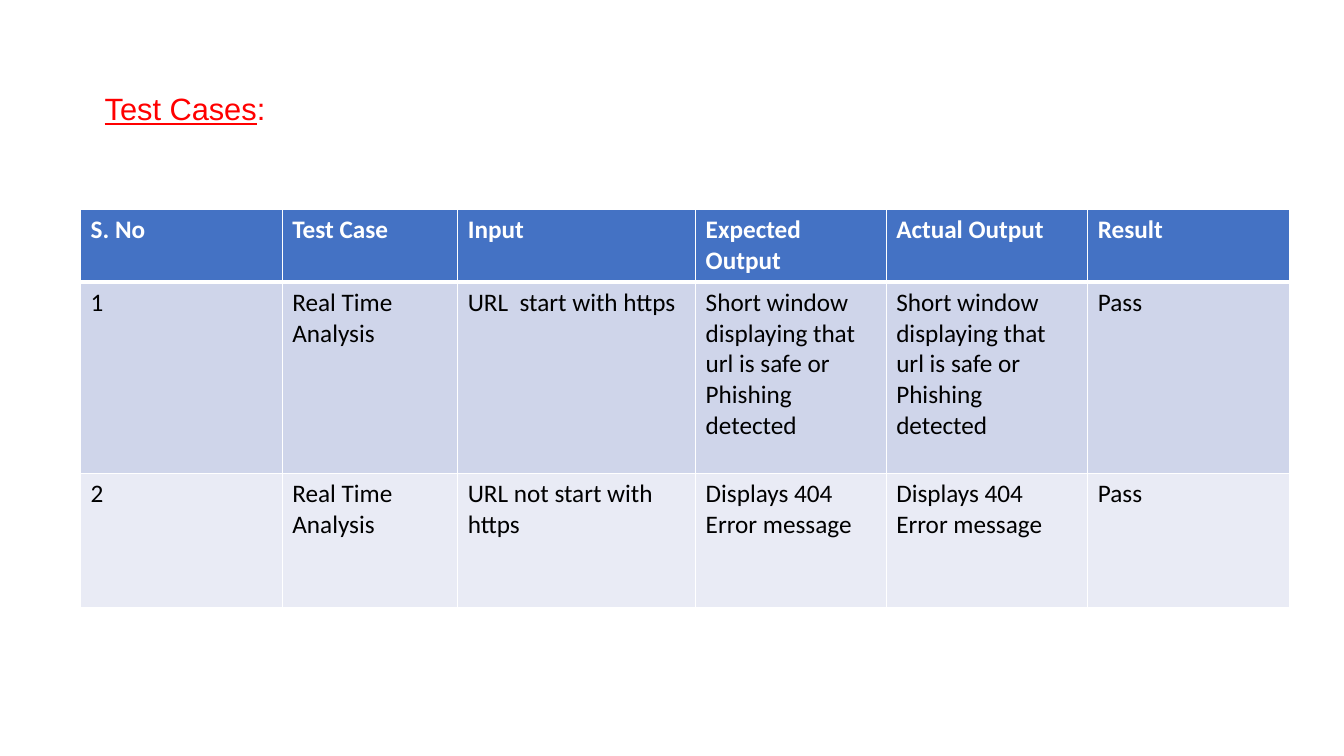
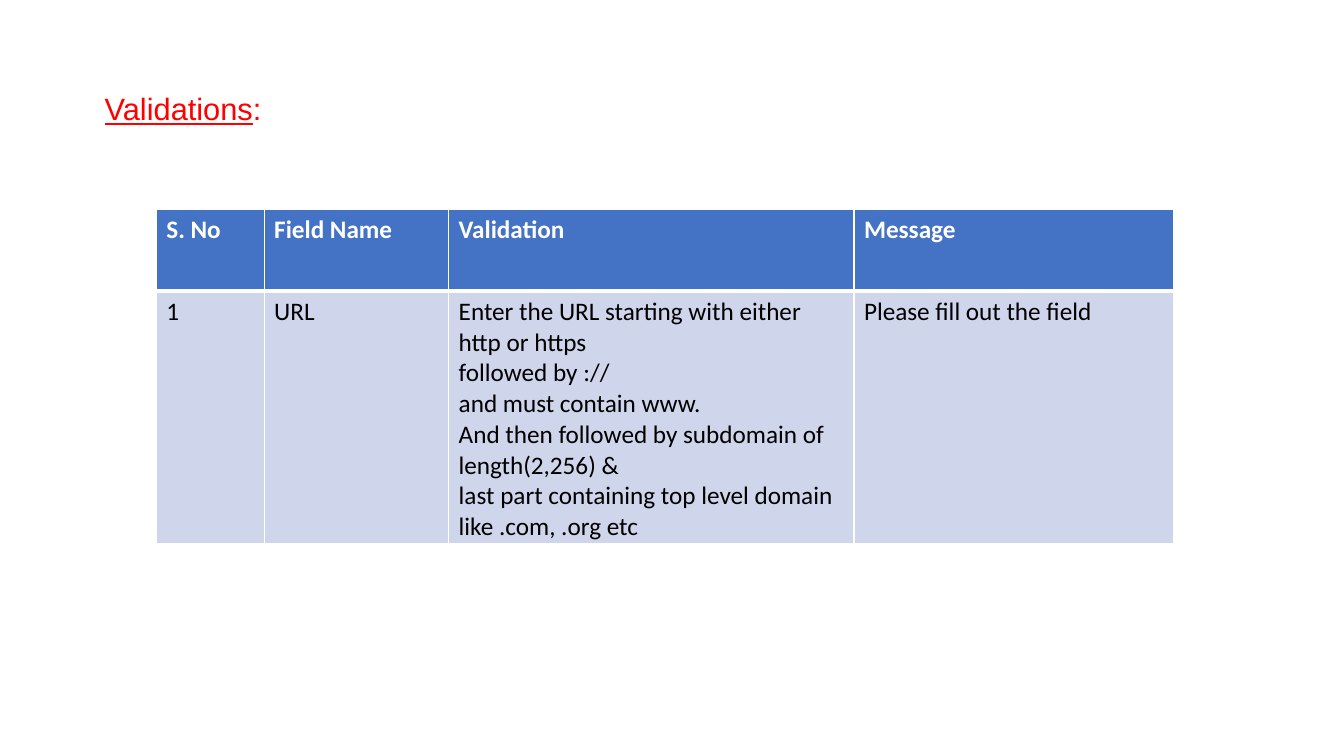
from dataclasses import dataclass

from lxml.etree import SubElement
from pptx import Presentation
from pptx.dml.color import RGBColor
from pptx.enum.text import MSO_AUTO_SIZE as AutoSize
from pptx.oxml.ns import qn
from pptx.slide import Slide
from pptx.table import _Cell as Cell
from pptx.text.text import Font
from pptx.util import Emu, Pt

EMU_PER_PX = 9144  # 100 px to the inch
SLIDE_SIZE = (1333, 750)
TITLE_BOX = (94, 84, 966, 47)
TABLE_TOP = 208

RED = "FF0000"
WHITE = "FFFFFF"
BLACK = "000000"
HEADER_FILL = "4472C4"
BAND_FILLS = ("CFD5EA", "E9EBF5")
THIN, THICK = 1, 3


@dataclass(frozen=True)
class TablePage:
    title: str
    left: int
    columns: tuple[int, ...]
    heights: tuple[int, ...]
    rows: tuple[tuple[str, ...], ...]


SAFE_OR_PHISHING = "Short window displaying that url is safe or Phishing detected"
NOT_FOUND = "Displays 404 Error message"

PAGES = (
    TablePage(
        title="Test Cases",
        left=80,
        columns=(200, 174, 236, 189, 200, 200),
        heights=(72, 190, 133),
        rows=(
            ("S. No", "Test Case", "Input", "Expected Output", "Actual Output", "Result"),
            ("1", "Real Time Analysis", "URL  start with https",
             SAFE_OR_PHISHING, SAFE_OR_PHISHING, "Pass"),
            ("2", "Real Time Analysis", "URL not start with https",
             NOT_FOUND, NOT_FOUND, "Pass"),
        ),
    ),
    TablePage(
        title="Validations",
        left=155,
        columns=(107, 183, 402, 317),
        heights=(81, 250),
        rows=(
            ("S. No", "Field Name", "Validation", "Message"),
            ("1", "URL",
             "Enter the URL starting with either http or https\n"
             "followed by ://\n"
             "and must contain www.\n"
             "And then followed by subdomain of length(2,256) &\n"
             "last part containing top level domain like .com, .org etc",
             "Please fill out the field"),
        ),
    ),
)


def px(length: int) -> Emu:
    return Emu(length * EMU_PER_PX)


def color(value: str) -> RGBColor:
    return RGBColor.from_string(value)


def set_font(font: Font, name: str, size: int, fill: str, bold: bool = False) -> None:
    font.name, font.size, font.bold = name, Pt(size), bold
    font.color.rgb = color(fill)


def add_title(page: Slide, title: str) -> None:
    """Write the title underlined, with a plain colon after it."""
    frame = page.shapes.add_textbox(*map(px, TITLE_BOX)).text_frame
    frame.word_wrap = True
    frame.auto_size = AutoSize.SHAPE_TO_FIT_TEXT
    para = frame.paragraphs[0]
    set_font(para.font, "Arial", 22, RED)
    for text, underlined in ((title, True), (":", False)):
        span = para.add_run()
        span.text = text
        span.font.underline = underlined


def set_borders(cell: Cell, top: int, bottom: int) -> None:
    """Draw white borders; call before filling, as the schema puts lines first."""
    properties = cell._tc.get_or_add_tcPr()
    for side, width in (("L", THIN), ("R", THIN), ("T", top), ("B", bottom)):
        line = SubElement(properties, qn(f"a:ln{side}"), w=str(Pt(width)))
        fill = SubElement(line, qn("a:solidFill"))
        SubElement(fill, qn("a:srgbClr"), val=WHITE)


def fill_cell(cell: Cell, text: str, row: int) -> None:
    header = row == 0
    set_borders(cell, top=THICK if row == 1 else THIN, bottom=THICK if header else THIN)
    cell.fill.solid()
    cell.fill.fore_color.rgb = color(HEADER_FILL if header else BAND_FILLS[(row - 1) % 2])
    cell.text = text
    for para in cell.text_frame.paragraphs:
        set_font(para.font, "Calibri", 18, WHITE if header else BLACK, bold=header)


def add_table(page: Slide, content: TablePage) -> None:
    table = page.shapes.add_table(
        len(content.rows), len(content.columns),
        px(content.left), px(TABLE_TOP),
        px(sum(content.columns)), px(sum(content.heights)),
    ).table
    for column, width in zip(table.columns, content.columns):
        column.width = px(width)
    for row, height in zip(table.rows, content.heights):
        row.height = px(height)
    for row_index, texts in enumerate(content.rows):
        for column_index, text in enumerate(texts):
            fill_cell(table.cell(row_index, column_index), text, row_index)


def main() -> None:
    deck = Presentation()
    deck.slide_width, deck.slide_height = map(px, SLIDE_SIZE)
    blank = deck.slide_layouts[6]
    for content in PAGES:
        page = deck.slides.add_slide(blank)
        add_title(page, content.title)
        add_table(page, content)
    deck.save("out.pptx")


if __name__ == "__main__":
    main()
